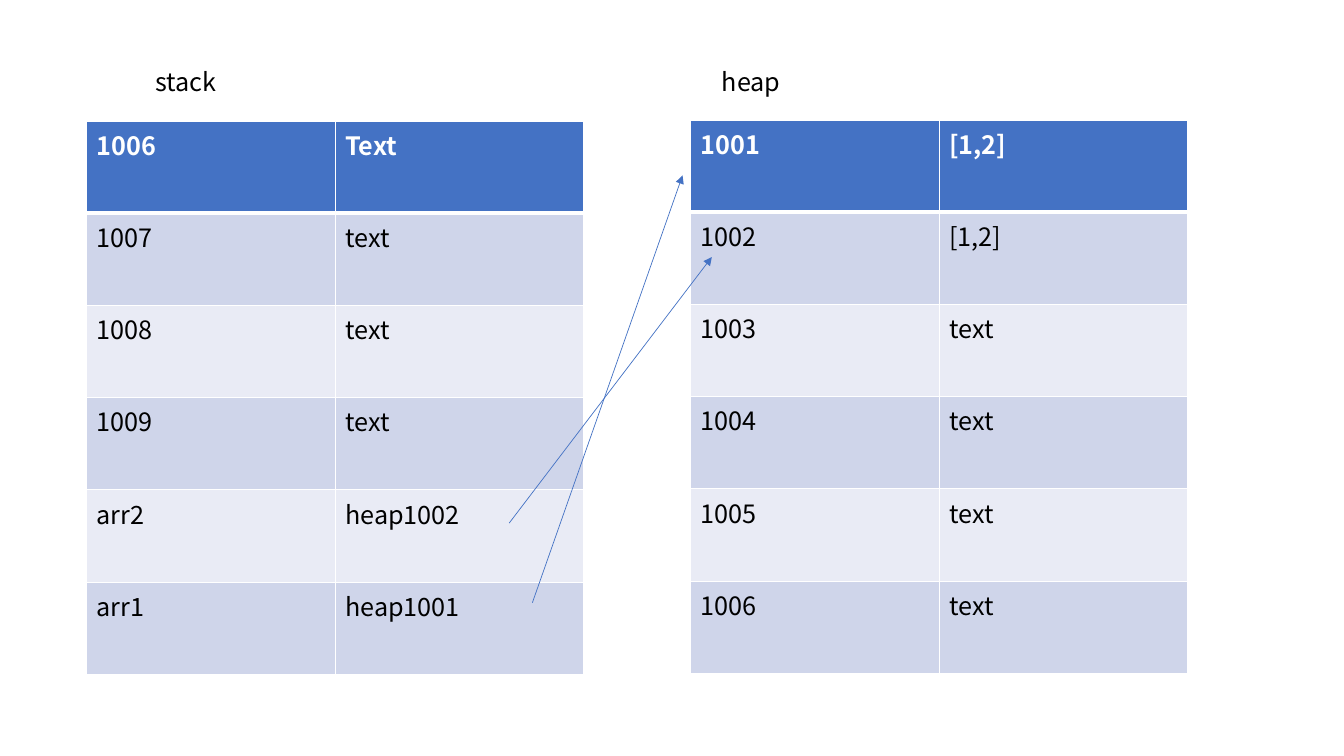
"""Build a slide showing how stack variables refer to heap cells."""
from dataclasses import dataclass

import lxml.etree
import pptx
import pptx.dml.color
import pptx.enum.shapes
import pptx.enum.text
import pptx.oxml
import pptx.oxml.ns
import pptx.util

Inches = pptx.util.Inches
qn = pptx.oxml.ns.qn


@dataclass(frozen=True)
class Theme:
    """Colours, font and sizes of the slide."""
    font: str = "Noto Sans CJK SC"
    text_size: int = 18
    accent: str = "4472C4"
    dark: str = "000000"
    light: str = "FFFFFF"
    bands: tuple = ("E9EBF5", "CFD5EA")
    arrow_width: float = 0.5
    border_width: int = 1
    header_border_width: int = 3


def rgb(value):
    """Turn a hex string into a colour."""
    return pptx.dml.color.RGBColor.from_string(value)


class MemoryPage:
    """Draw labels, memory tables and arrows on one slide."""

    def __init__(self, page, theme):
        """Keep the slide and its style."""
        self.page = page
        self.theme = theme

    def style_text(self, frame, text, color, bold=False):
        """Fill a text frame with one styled paragraph."""
        para = frame.paragraphs[0]
        para.text = text
        para.font.name = self.theme.font
        para.font.size = pptx.util.Pt(self.theme.text_size)
        para.font.bold = bold
        para.font.color.rgb = rgb(color)

    def label(self, text, left, top, width, height):
        """Add a text box."""
        box = self.page.shapes.add_textbox(
            Inches(left), Inches(top), Inches(width), Inches(height))
        frame = box.text_frame
        frame.word_wrap = True
        frame.auto_size = pptx.enum.text.MSO_AUTO_SIZE.SHAPE_TO_FIT_TEXT
        self.style_text(frame, text, self.theme.dark)

    def border(self, cell, side, width):
        """Add one border line to a table cell."""
        properties = cell._tc.get_or_add_tcPr()
        line = lxml.etree.SubElement(
            properties, qn(f"a:ln{side}"), w=str(pptx.util.Pt(width)))
        fill = lxml.etree.SubElement(line, qn("a:solidFill"))
        lxml.etree.SubElement(fill, qn("a:srgbClr"), val=self.theme.light)

    def memory_table(self, entries, left, top, width, height):
        """Add a table of addresses and values with a header row."""
        theme = self.theme
        table = self.page.shapes.add_table(
            len(entries), len(entries[0]), Inches(left), Inches(top),
            Inches(width), Inches(height)).table
        for row, entry in enumerate(entries):
            header = row == 0
            heavy_side = {0: "B", 1: "T"}.get(row)
            for column, text in enumerate(entry):
                cell = table.cell(row, column)
                for side in "LRTB":
                    self.border(cell, side, theme.header_border_width
                                if side == heavy_side else theme.border_width)
                cell.fill.solid()
                cell.fill.fore_color.rgb = rgb(
                    theme.accent if header else theme.bands[row % 2])
                self.style_text(cell.text_frame, text,
                                theme.light if header else theme.dark, header)

    def arrow(self, start, end):
        """Add a thin reference arrow between two points."""
        connector = self.page.shapes.add_connector(
            pptx.enum.shapes.MSO_CONNECTOR.STRAIGHT,
            *(Inches(value) for value in start + end))
        connector.line.color.rgb = rgb(self.theme.accent)
        connector.line.width = pptx.util.Pt(self.theme.arrow_width)
        lxml.etree.SubElement(
            connector.line._get_or_add_ln(), qn("a:tailEnd"), type="triangle")
        lxml.etree.SubElement(
            connector._element.spPr, qn("a:effectLst"))


STACK = [("1006", "Text"), ("1007", "text"), ("1008", "text"),
         ("1009", "text"), ("arr2", "heap1002"), ("arr1", "heap1001")]
HEAP = [("1001", "[1,2]"), ("1002", "[1,2]"), ("1003", "text"),
        ("1004", "text"), ("1005", "text"), ("1006", "text")]
TABLE_SIZE = (4.93, 5.49)
LABEL_SIZE = (3.69, 0.4)
LABEL_TOP = 0.61


def main():
    """Build and save the deck."""
    deck = pptx.Presentation()
    deck.slide_width, deck.slide_height = Inches(13.33), Inches(7.5)
    blank_layout = deck.slide_layouts[6]
    memory = MemoryPage(deck.slides.add_slide(blank_layout), Theme())

    memory.memory_table(STACK, 0.86, 1.2, *TABLE_SIZE)
    memory.memory_table(HEAP, 6.85, 1.19, *TABLE_SIZE)
    memory.label("stack", 1.44, LABEL_TOP, *LABEL_SIZE)
    memory.label("heap", 7.06, LABEL_TOP, *LABEL_SIZE)
    memory.arrow((5.28, 5.98), (6.77, 1.74))
    memory.arrow((5.05, 5.19), (7.06, 2.55))

    deck.save("out.pptx")


main()
